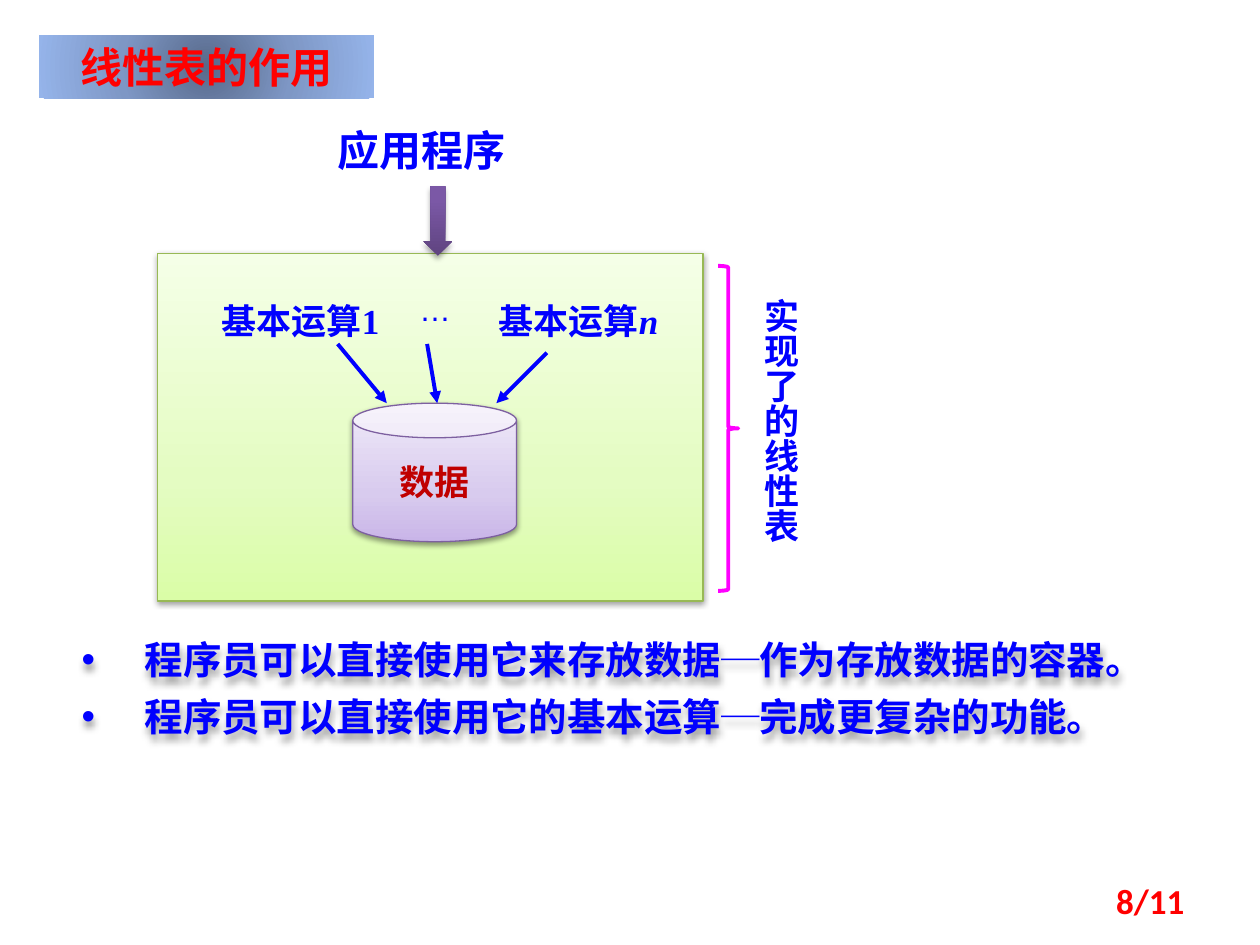
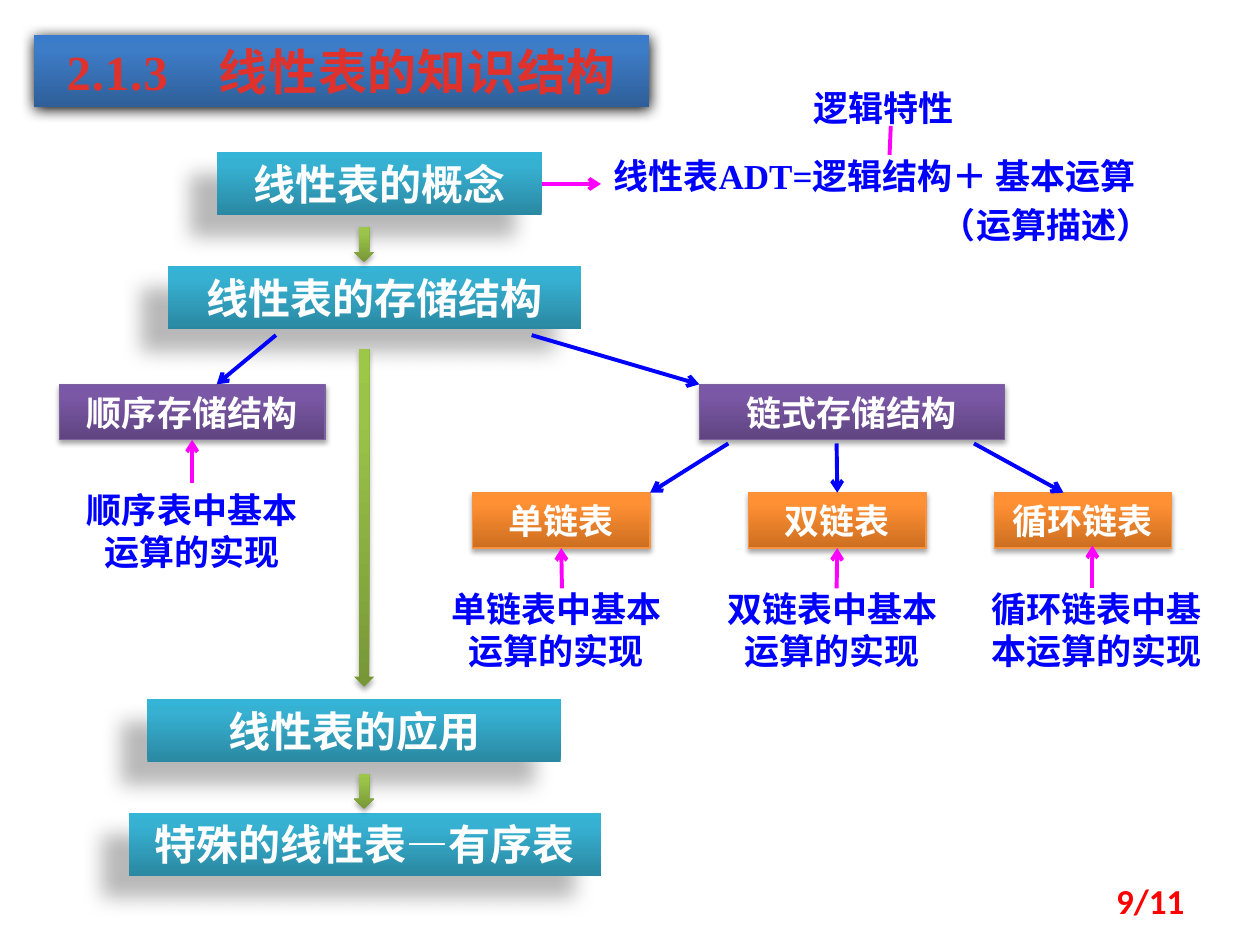
from lxml.etree import SubElement
from pptx import Presentation
from pptx.dml.color import RGBColor
from pptx.enum.shapes import MSO_CONNECTOR, MSO_SHAPE
from pptx.enum.text import MSO_ANCHOR, MSO_AUTO_SIZE, PP_ALIGN
from pptx.oxml.ns import qn
from pptx.util import Inches, Pt

BLUE = RGBColor(0x00, 0x00, 0xFF)
RED = RGBColor(0xFF, 0x00, 0x00)
CRIMSON = RGBColor(0xC0, 0x00, 0x00)
BRICK = RGBColor(0xE0, 0x32, 0x2D)
WHITE = RGBColor(0xFF, 0xFF, 0xFF)
PINK = RGBColor(0xFF, 0x00, 0xFF)
BLACK = RGBColor(0x00, 0x00, 0x00)
MOSS = RGBColor(0x98, 0xB9, 0x55)
PLUM = RGBColor(0x7D, 0x60, 0xA0)
AMBER = RGBColor(0xF6, 0x92, 0x40)

LIME = [(0, RGBColor(0xDA, 0xFD, 0xA7)), (35, RGBColor(0xE4, 0xFC, 0xC2)), (100, RGBColor(0xF5, 0xFF, 0xE7))]
LILAC = [(0, RGBColor(0xC9, 0xB5, 0xE8)), (35, RGBColor(0xD8, 0xCB, 0xEE)), (100, RGBColor(0xF0, 0xEA, 0xF9))]
PURPLE = [(0, RGBColor(0x5F, 0x44, 0x80)), (80, RGBColor(0x7B, 0x58, 0xA6)), (100, RGBColor(0x7C, 0x57, 0xA8))]
STEEL = [(0, RGBColor(0x58, 0x6A, 0x8B)), (50, RGBColor(0x7E, 0x97, 0xC5)), (100, RGBColor(0x95, 0xB4, 0xEA))]
NAVY = [(0, RGBColor(0x2F, 0x5F, 0x99)), (80, RGBColor(0x3D, 0x7C, 0xC7)), (100, RGBColor(0x3A, 0x7C, 0xCB))]
TEAL = [(0, RGBColor(0x2A, 0x88, 0xA2)), (80, RGBColor(0x37, 0xB1, 0xD2)), (100, RGBColor(0x34, 0xB4, 0xD6))]
GREEN = [(0, RGBColor(0x77, 0x97, 0x37)), (80, RGBColor(0x9B, 0xC3, 0x48)), (100, RGBColor(0x9D, 0xC7, 0x46))]
ORANGE = [(0, RGBColor(0xCC, 0x6E, 0x20)), (80, RGBColor(0xFF, 0x90, 0x34)), (100, RGBColor(0xFF, 0x91, 0x36))]

SOFT = (38, 3.1, 1.6, 90)
FIRM = (35, 3.1, 1.8, 90)
DEEP = (28, 11.8, 19.7, 141)
GLOW = (100, 8.5, 1, 90)
DROP = (38, 4, 3, 90)

SANS = "Noto Sans CJK SC"
SERIF = "Times New Roman"
BODY = {"size": Pt(20), "name": SANS, "bold": True}
ROMAN = {**BODY, "name": SERIF}
HEAD = {**BODY, "size": Pt(24)}


def add(node, tag, **attrs):
    """Append a drawing element with its attributes."""
    return SubElement(node, qn(tag), {key: str(val) for key, val in attrs.items()})


def shade(shape, look):
    """Give a shape its shadow, or none."""
    shape.shadow.inherit = False
    if look:
        alpha, blur, dist, angle = look
        node = shape._element.spPr.find(qn("a:effectLst"))
        outer = add(node, "a:outerShdw", blurRad=round(blur * 12700), dist=round(dist * 12700),
                    dir=angle * 60000, algn="ctr", rotWithShape=0)
        add(add(outer, "a:srgbClr", val=BLACK), "a:alpha", val=alpha * 1000)


def blend(shape, stops, radial=False):
    """Fill a shape with a rising or radial gradient."""
    shape.fill.gradient()
    shape.fill.gradient_angle = 90
    grad = shape._element.spPr.find(qn("a:gradFill"))
    ramp = grad.find(qn("a:gsLst"))
    for stop in list(ramp):
        ramp.remove(stop)
    for pos, color in stops:
        add(add(ramp, "a:gs", pos=pos * 1000), "a:srgbClr", val=color)
    if radial:
        grad.remove(grad.find(qn("a:lin")))
        add(add(grad, "a:path", path="circle"), "a:fillToRect", l=50000, t=50000, r=50000, b=50000)


def write(para, text, font, color):
    """Add one formatted run."""
    run = para.add_run()
    run.text = text
    for key, val in font.items():
        setattr(run.font, key, val)
    run.font.color.rgb = color
    add(run._r.get_or_add_rPr(), "a:ea", typeface=SANS)


def spot(box):
    """Turn a box in inches into lengths."""
    return [Inches(val) for val in box]


def label(slide, box, text, font=BODY, color=BLUE, align=PP_ALIGN.LEFT):
    """Place a text box that grows with its text."""
    shape = slide.shapes.add_textbox(*spot(box))
    frame = shape.text_frame
    frame.word_wrap = True
    frame.auto_size = MSO_AUTO_SIZE.SHAPE_TO_FIT_TEXT
    frame.paragraphs[0].alignment = align
    write(frame.paragraphs[0], text, font, color)
    return shape


def block(slide, kind, box, stops=None, edge=None, look=None, width=0.75, radial=False):
    """Place a preset shape with its fill, edge and shadow."""
    shape = slide.shapes.add_shape(kind, *spot(box))
    shade(shape, look)
    if stops:
        blend(shape, stops, radial)
    else:
        shape.fill.background()
    if edge:
        shape.line.color.rgb = edge
        shape.line.width = Pt(width)
    else:
        shape.line.fill.background()
    return shape


def panel(slide, box, text, stops, font=BODY, color=WHITE, kind=MSO_SHAPE.RECTANGLE, **style):
    """Place a shape with centred text."""
    shape = block(slide, kind, box, stops, **style)
    frame = shape.text_frame
    frame.word_wrap = kind == MSO_SHAPE.RECTANGLE
    frame.vertical_anchor = MSO_ANCHOR.MIDDLE
    frame.paragraphs[0].alignment = PP_ALIGN.CENTER
    write(frame.paragraphs[0], text, font, color)
    return shape


def link(slide, start, end, color=BLUE, head="arrow"):
    """Draw a straight line with an optional arrowhead."""
    line = slide.shapes.add_connector(MSO_CONNECTOR.STRAIGHT, *spot(start + end))
    line.line.color.rgb = color
    line.line.width = Pt(2.25)
    if head:
        add(line.line._get_or_add_ln(), "a:tailEnd", type=head)
    add(line._element.spPr, "a:effectLst")
    return line


def footer(slide, page):
    """Write the page number."""
    shape = label(slide, (7.17, 6.95, 2.33, 0.4), f"{page}/11", {**BODY, "name": "Calibri"}, RED, PP_ALIGN.RIGHT)
    shape.text_frame.auto_size = MSO_AUTO_SIZE.NONE
    shape.text_frame.vertical_anchor = MSO_ANCHOR.MIDDLE


def model(slide, left, top):
    """Draw the program, the operations and the data store."""
    block(slide, MSO_SHAPE.RECTANGLE, (left, top, 4.33, 2.76), LIME, edge=MOSS, look=SOFT)
    panel(slide, (left + 1.55, top + 1.19, 1.3, 1.1), "数据", LILAC, color=CRIMSON,
          kind=MSO_SHAPE.CAN, edge=PLUM, look=SOFT)
    label(slide, (left + 0.41, top + 0.32, 1.5, 0.43), "基本运算1", ROMAN)
    last = label(slide, (left + 2.61, top + 0.32, 1.5, 0.43), "基本运算", ROMAN)
    write(last.text_frame.paragraphs[0], "n", {**ROMAN, "italic": True}, BLUE)
    label(slide, (left + 1.98, top + 0.24, 0.55, 0.4), "…", {"size": Pt(18), "name": "Arial"})
    for x, y, tip in [(1.43, 0.72, 1.82), (3.09, 0.79, 2.69), (2.14, 0.72, 2.22)]:
        link(slide, (left + x, top + y), (left + tip, top + 1.19), head="triangle")
    label(slide, (left + 1.33, top - 1.07, 1.95, 0.5), "应用程序", {**HEAD, "name": SERIF})
    block(slide, MSO_SHAPE.DOWN_ARROW, (left + 2.11, top - 0.53, 0.23, 0.55), PURPLE, look=FIRM)
    side = label(slide, (left + 4.62, top + 0.26, 0.54, 2.34), "实现了的线性表", align=PP_ALIGN.CENTER)
    side.text_frame._txBody.bodyPr.set("vert", "eaVert")
    block(slide, MSO_SHAPE.RIGHT_BRACE, (left + 4.45, top + 0.1, 0.16, 2.58), edge=PINK, width=2.25)


def points(slide, left, top, lines):
    """List the bulleted points."""
    shape = slide.shapes.add_textbox(*spot((left, top, 8.83, 1.03)))
    shade(shape, DROP)
    frame = shape.text_frame
    frame.word_wrap = True
    for num, text in enumerate(lines):
        para = frame.add_paragraph() if num else frame.paragraphs[0]
        props = para._p.get_or_add_pPr()
        props.set("marL", str(Inches(0.5)))
        props.set("indent", str(-Inches(0.5)))
        add(props, "a:buFont", typeface="Arial")
        add(props, "a:buChar", char="•")
        if num:
            para.space_before = Pt(6)
        write(para, text, {**BODY, "size": Pt(22)}, BLUE)


def formula(slide, left, top):
    """Write the definition of the data type."""
    label(slide, (left + 1.59, top - 0.62, 1.41, 0.44), "逻辑特性")
    shape = label(slide, (left, top, 4.77, 0.77), "线性表ADT=逻辑结构＋ 基本运算", ROMAN)
    note = shape.text_frame.add_paragraph()
    note._p.get_or_add_pPr().set("marL", str(Inches(2.6)))
    note.space_before = Pt(10)
    write(note, "（运算描述）", ROMAN, BLUE)
    for para in shape.text_frame.paragraphs:
        para.line_spacing = Pt(18)
    link(slide, (left + 2.3, top - 0.26), (left + 2.29, top - 0.03), PINK, None)


def spine(slide, mid):
    """Stack the main topics and the arrows between them."""
    steps = [(1.72, 1.21, 2.58, "线性表的概念"), (1.33, 2.11, 3.28, "线性表的存储结构"),
             (1.17, 5.55, 3.28, "线性表的应用"), (1.02, 6.45, 3.75, "特殊的线性表—有序表")]
    topics = [panel(slide, (x, y, width, 0.5), text, TEAL, HEAD, look=DEEP) for x, y, width, text in steps]
    for y, height in [(1.8, 0.28), (2.77, 2.68), (6.14, 0.28)]:
        block(slide, MSO_SHAPE.DOWN_ARROW, (mid - 0.08, y, 0.16, height), GREEN, look=FIRM)
    link(slide, (4.3, 1.46), (4.77, 1.46), PINK).begin_connect(topics[0], 3)


def array(slide, left, top):
    """Draw the sequential branch."""
    name = panel(slide, (left, top, 2.11, 0.44), "顺序存储结构", PURPLE, edge=PLUM, look=FIRM)
    work = label(slide, (left + 0.08, top + 0.78, 1.95, 0.77), "顺序表中基本运算的实现", align=PP_ALIGN.CENTER)
    rise = link(slide, (left + 1.05, top + 0.78), (left + 1.05, top + 0.44), PINK)
    rise.begin_connect(work, 0)
    rise.end_connect(name, 2)
    link(slide, (left + 1.72, top - 0.39), (left + 1.25, top))


def chain(slide, left, top):
    """Draw the linked branch and its three kinds."""
    panel(slide, (left, top, 2.42, 0.44), "链式存储结构", PURPLE, edge=PLUM, look=FIRM)
    link(slide, (left - 1.33, top - 0.39), (left, top))
    kinds = [("单链表", -1.8, -2.11, -1.09, 0.23, -0.39), ("双链表", 0.39, 0.08, 1.09, 1.09, 1.09),
             ("循环链表", 2.34, 2.18, 3.12, 2.18, 2.89)]
    for text, x, note, mid, start, end in kinds:
        kind = panel(slide, (left + x, top + 0.86, 1.41, 0.44), text, ORANGE, edge=AMBER, look=FIRM)
        label(slide, (left + note, top + 1.56, 1.95, 0.77), f"{text}中基本运算的实现", align=PP_ALIGN.CENTER)
        rise = link(slide, (left + mid, top + 1.62), (left + mid, top + 1.28), PINK)
        fall = link(slide, (left + start, top + 0.47), (left + end, top + 0.86))
        if text != "循环链表":
            rise.end_connect(kind, 2)
        if start == end:
            fall.end_connect(kind, 0)


def usage(slide):
    """Build the slide on what the list is for."""
    model(slide, 1.25, 2.01)
    points(slide, 0.55, 5, ["程序员可以直接使用它来存放数据─作为存放数据的容器。",
                            "程序员可以直接使用它的基本运算─完成更复杂的功能。"])
    panel(slide, (0.31, 0.28, 2.66, 0.5), "线性表的作用", STEEL, HEAD, RED, radial=True)
    footer(slide, 8)


def outline(slide):
    """Build the slide on how the topics fit together."""
    title = panel(slide, (0.27, 0.28, 4.88, 0.57), "2.1.3　线性表的知识结构", NAVY,
                  {**ROMAN, "size": Pt(28)}, BRICK, look=GLOW)
    title.text_frame.paragraphs[0].runs[0]._r.get_or_add_rPr().set("spc", "50")
    spine(slide, 2.89)
    formula(slide, 4.77, 1.26)
    array(slide, 0.47, 3.05)
    chain(slide, 5.55, 3.05)
    footer(slide, 9)


def main():
    """Build and save the deck."""
    deck = Presentation()
    deck.slide_width, deck.slide_height = Inches(10), Inches(7.5)
    for build in (usage, outline):
        build(deck.slides.add_slide(deck.slide_layouts[6]))
    deck.save("out.pptx")


if __name__ == "__main__":
    main()
